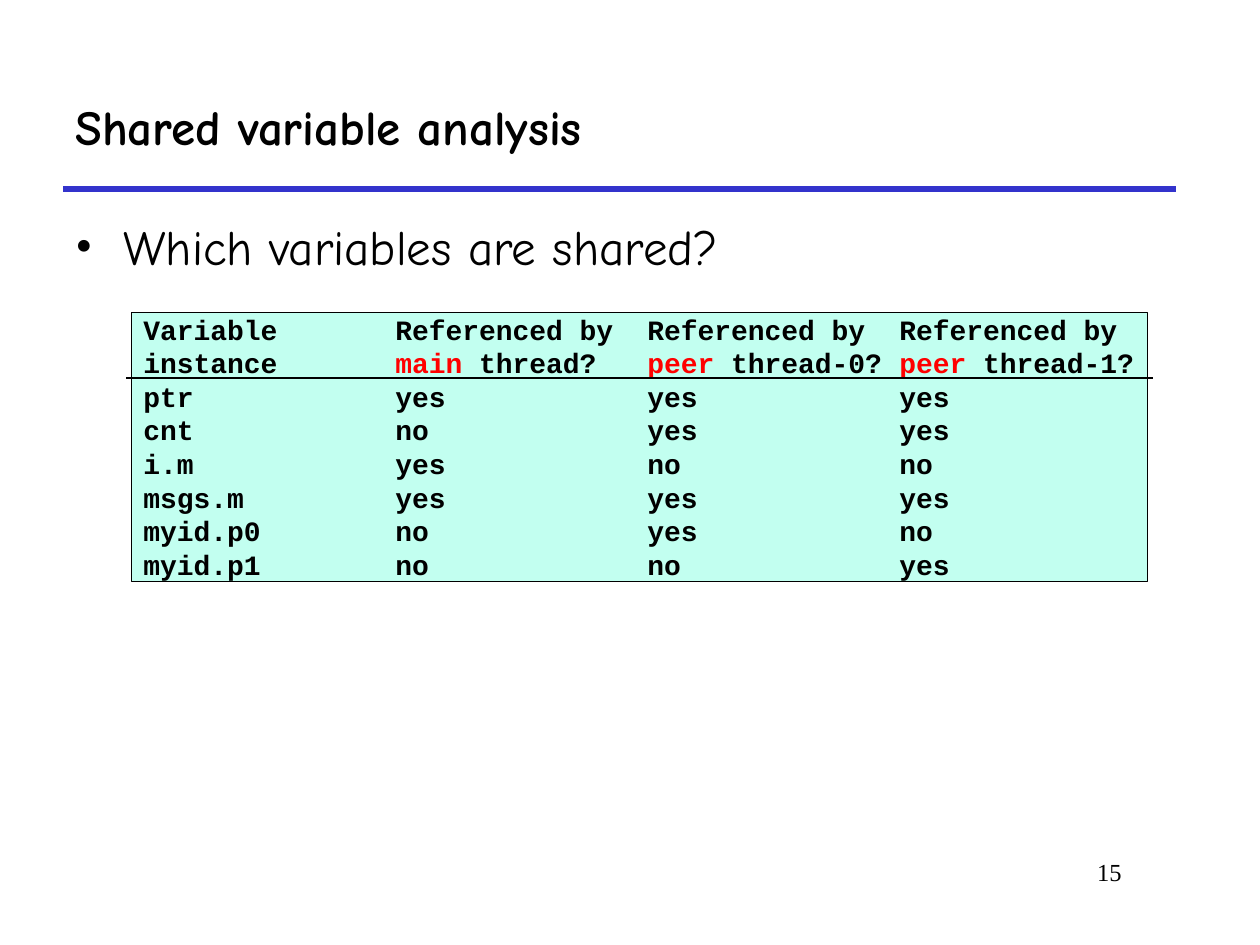
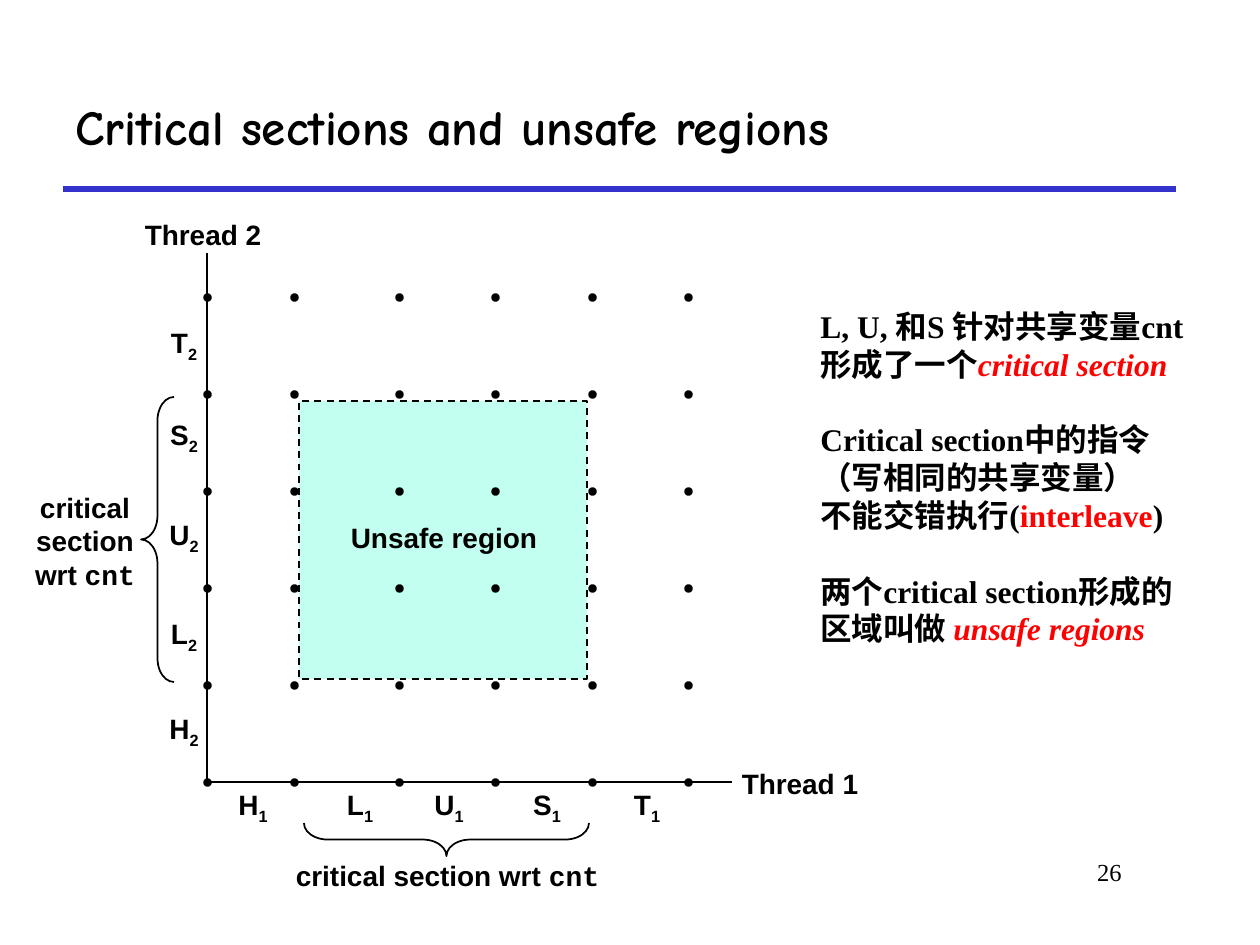
from lxml import etree
from pptx import Presentation
from pptx.dml.color import RGBColor
from pptx.enum.dml import MSO_LINE
from pptx.enum.shapes import MSO_CONNECTOR, MSO_SHAPE
from pptx.enum.text import MSO_ANCHOR, PP_ALIGN
from pptx.oxml.ns import qn
from pptx.util import Emu, Pt

PX_PER_INCH = 126
BLACK = RGBColor(0x00, 0x00, 0x00)
RED = RGBColor(0xFF, 0x00, 0x00)
BLUE = RGBColor(0x33, 0x33, 0xCC)
MINT = RGBColor(0xC2, 0xFF, 0xF0)
TITLE_FONT, LABEL_FONT = "Comic Neue", "Arial"
CODE_FONT, NOTE_FONT = "Courier New", "Times New Roman"
LEFT, CENTER, RIGHT = PP_ALIGN.LEFT, PP_ALIGN.CENTER, PP_ALIGN.RIGHT
TOP, MIDDLE = MSO_ANCHOR.TOP, MSO_ANCHOR.MIDDLE
STRAIGHT = MSO_CONNECTOR.STRAIGHT
RECTANGLE, OVAL, BRACE = MSO_SHAPE.RECTANGLE, MSO_SHAPE.OVAL, MSO_SHAPE.LEFT_BRACE
DASH = MSO_LINE.DASH

HEADER = [
    ["Variable\tReferenced by\tReferenced by\tReferenced by"],
    ["instance\t", ("main", {"color": RED}), " thread?\t", ("peer", {"color": RED}),
     " thread-0?\t", ("peer", {"color": RED}), " thread-1?"],
]
VARIABLES = [
    ("ptr", "yes", "yes", "yes"),
    ("cnt", "no", "yes", "yes"),
    ("i.m", "yes", "no", "no"),
    ("msgs.m", "yes", "yes", "yes"),
    ("myid.p0", "no", "yes", "no"),
    ("myid.p1", "no", "no", "yes"),
]
TERM = {"color": RED, "italic": True}
NOTES = [
    [["L, U, 和S 针对共享变量cnt"],
     ["形成了一个", ("critical section", TERM)]],
    [["Critical section中的指令"],
     ["（写相同的共享变量）"],
     ["不能交错执行(", ("interleave", {"color": RED}), ")"]],
    [["两个critical section形成的"],
     ["区域叫做 ", ("unsafe regions", TERM)]],
]
CRITICAL = [["critical section wrt ", ("cnt", {"font": CODE_FONT})]]


def px(length):
    """Turn pixels into EMU."""
    return Emu(round(length * 914400 / PX_PER_INCH))


def format_run(run, size, font, bold, color=BLACK, italic=False, base=0):
    """Give one run its look."""
    run.font.size, run.font.name = Pt(size), font
    run.font.bold, run.font.italic = bold, italic
    run.font.color.rgb = color
    if base:
        run.font._element.set("baseline", str(base * 1000))


def write(shape, lines, size, font, bold=True, align=LEFT, anchor=MIDDLE,
          wrap=False, inset=6, pitch=None):
    """Fill a shape with lines made of plain or styled spans."""
    frame = shape.text_frame
    frame.word_wrap, frame.vertical_anchor = wrap, anchor
    frame.margin_top = frame.margin_bottom = px(inset)
    for index, line in enumerate(lines):
        para = frame.add_paragraph() if index else frame.paragraphs[0]
        para.alignment = align
        if pitch:
            para.line_spacing = Pt(pitch)
        for span in line:
            text, style = (span, {}) if isinstance(span, str) else span
            run = para.add_run()
            run.text = text
            format_run(run, **{"size": size, "font": font, "bold": bold, **style})
    return frame.paragraphs


def add_text(page, box, lines, size, font, **options):
    """Place a text box."""
    shape = page.shapes.add_textbox(*map(px, box))
    return write(shape, lines, size, font, **options)


def add_label(page, box, lines, **options):
    """Place a centred diagram label."""
    add_text(page, box, lines, 16, LABEL_FONT, align=CENTER, **options)


def add_figure(page, kind, box, fill=None, line=None, width=1):
    """Place a preset shape without shadow."""
    shape = page.shapes.add_shape(kind, *map(px, box))
    shape.shadow.inherit = False
    if fill is None:
        shape.fill.background()
    else:
        shape.fill.solid()
        shape.fill.fore_color.rgb = fill
    if line is None:
        shape.line.fill.background()
    else:
        shape.line.color.rgb = line
        shape.line.width = Pt(width)
    return shape


def add_line(page, start, end, color=BLACK, width=1):
    """Draw a straight line without shadow."""
    line = page.shapes.add_connector(STRAIGHT, *map(px, (*start, *end)))
    line.line.color.rgb, line.line.width = color, Pt(width)
    etree.SubElement(line._element.spPr, qn("a:effectLst"))


def add_page(deck, title, number):
    """Start a slide with its title, rule and number."""
    page = deck.slides.add_slide(deck.slide_layouts[6])
    add_line(page, (63, 189), (1176, 189), BLUE, 3)
    add_text(page, (955, 851, 179, 63), [[number]], 14, NOTE_FONT,
             bold=False, align=RIGHT, anchor=TOP, wrap=True)
    add_text(page, (63, 63, 1113, 126), [[title]], 28, TITLE_FONT, wrap=True)
    return page


def add_bullet(page, box, text):
    """Place one bulleted line."""
    para = add_text(page, box, [[text]], 28, TITLE_FONT, bold=False,
                    anchor=TOP, wrap=True)[0]
    properties = para._p.get_or_add_pPr()
    properties.set("marL", str(px(48)))
    properties.set("indent", str(-px(48)))
    etree.SubElement(properties, qn("a:buFont"), typeface=NOTE_FONT)
    etree.SubElement(properties, qn("a:buChar"), char="•")


def add_variable_list(page, box):
    """Draw the panel of variables in tabbed columns."""
    left, top, width, height = box
    panel = add_figure(page, RECTANGLE, box, MINT, BLACK, 0.25)
    rows = HEADER + [["\t".join(row)] for row in VARIABLES]
    for para in write(panel, rows, 16, CODE_FONT, inset=0, pitch=19.2):
        tabs = etree.SubElement(para._p.get_or_add_pPr(), qn("a:tabLst"))
        for column in (1, 2, 3):
            etree.SubElement(tabs, qn("a:tab"), pos=str(px(252 * column)), algn="l")
    rule = top + 66
    add_line(page, (left - 5, rule), (left + width + 6, rule), width=0.75)


def add_notes(page, box):
    """Write the groups of remarks with a line of space between them."""
    lines = [line for group in NOTES for line in group]
    paras = add_text(page, box, lines, 18, NOTE_FONT, anchor=TOP, wrap=True,
                     inset=0, pitch=21.6)
    start = 0
    for group in NOTES[:-1]:
        start += len(group)
        paras[start].space_before = Pt(21.6)


def add_step_labels(page, left, top):
    """Name the steps along both axes."""
    across = (46, 153, 242, 340, 440)
    upward = (51, 146, 245, 345, 437)
    for letter, x, y in zip("HLUST", across, upward):
        for thread, middle, centre in (("1", x, 25), ("2", -23, -y)):
            add_label(page, (left + middle - 27, top + centre - 26, 54, 52),
                      [[letter, (thread, {"base": -25})]])


def add_progress_graph(page, left, top):
    """Draw the graph of both threads from its origin."""
    region = add_figure(page, RECTANGLE, (left + 92, top - 381, 288, 278), MINT, BLACK)
    region.line.dash_style = DASH
    add_line(page, (left, top), (left + 525, top))
    add_line(page, (left, top), (left, top - 529))
    add_step_labels(page, left, top)
    for x in (0, 87, 192, 288, 385, 481):
        for row in range(6):
            add_figure(page, OVAL, (left + x - 2, top - 97 * row - 2, 5, 5),
                       BLACK, BLACK, 2)
    add_label(page, (left + 513, top - 22, 160, 46), [["Thread 1"]])
    add_label(page, (left - 84, top - 571, 160, 46), [["Thread 2"]])
    name = add_figure(page, RECTANGLE, (left + 131, top - 268, 212, 46), MINT)
    write(name, [["Unsafe region"]], 16, LABEL_FONT, align=CENTER)
    for x, y, angle in ((-66, -385, 0), (223, -85, 270)):
        brace = add_figure(page, BRACE, (left + x, top + y, 33, 285), line=BLACK)
        brace.adjustments[0] = 0.72
        brace.rotation = angle
    add_label(page, (left + 66, top + 70, 349, 46), CRITICAL)
    add_label(page, (left - 187, top - 298, 130, 113), CRITICAL, wrap=True, pitch=19.2)


def main():
    """Build and save the deck."""
    deck = Presentation()
    deck.slide_width, deck.slide_height = px(1260), px(945)
    page = add_page(deck, "Shared variable analysis", "15")
    add_bullet(page, (63, 211, 1124, 105), "Which variables are shared?")
    add_variable_list(page, (131, 312, 1016, 269))
    page = add_page(deck, "Critical sections and unsafe regions", "26")
    add_notes(page, (808, 307, 440, 360))
    add_progress_graph(page, 207, 782)
    deck.save("out.pptx")


if __name__ == "__main__":
    main()
